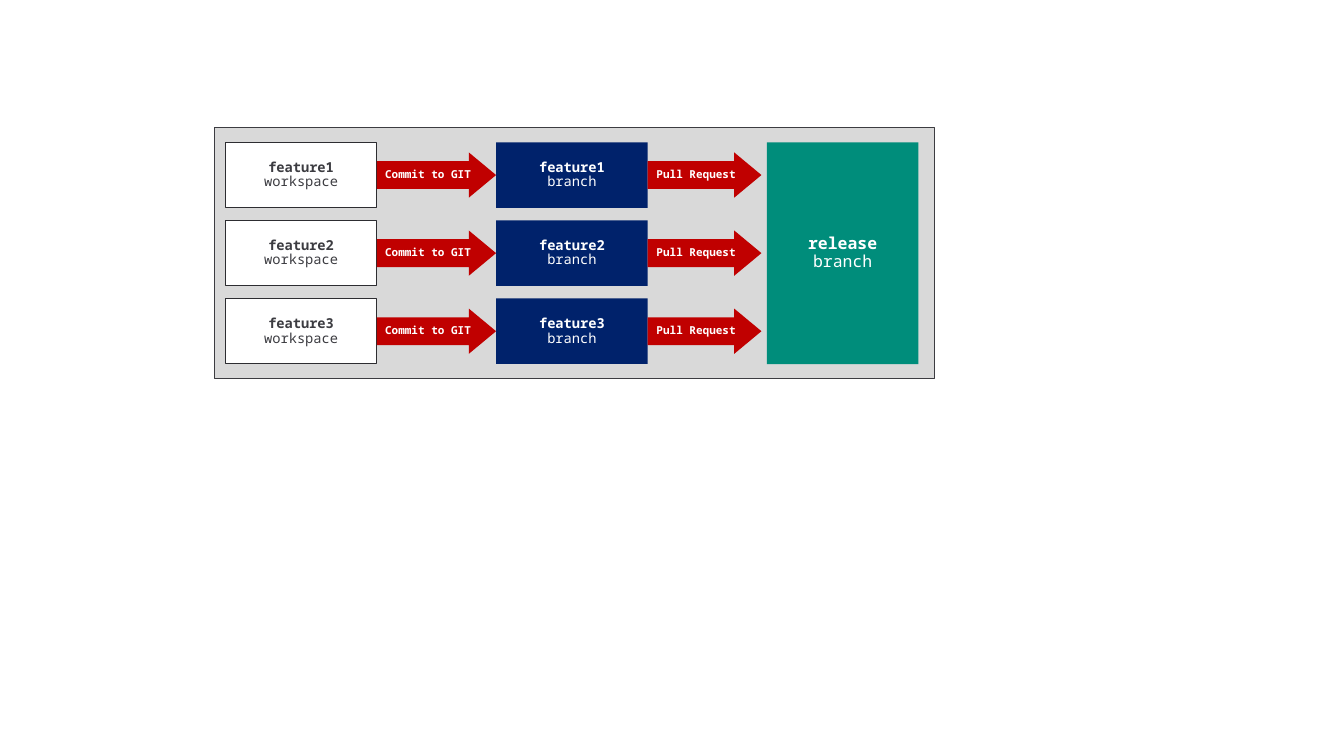
"""Build a slide showing feature workspaces flowing through branches into a release."""
from dataclasses import dataclass

from pptx import Presentation
from pptx.dml.color import RGBColor
from pptx.enum.shapes import MSO_SHAPE as Preset
from pptx.enum.text import MSO_ANCHOR as Anchor, PP_ALIGN as Align
from pptx.shapes.autoshape import Shape
from pptx.util import Inches, Pt

COLORS = {
    "white": "FFFFFF", "panel": "D9D9D9", "text": "3C3C41", "outline": "2D2D31",
    "branch": "00226B", "release": "008D7B", "arrow": "C00000",
}
FONT = "Noto Sans Mono"
SLIDE_WIDTH, SLIDE_HEIGHT = 13.6, 7.65
GRID_LEFT, GRID_TOP = 2.28, 1.44
COLUMN, ROW = 2.74, 0.79
BOX_COLUMNS, BOX_ROWS = 0.56, 0.84
ARROW_ROWS = 0.58
ARROW_ADJUSTMENTS = (0.614, 0.602)
FEATURES = ("feature1", "feature2", "feature3")
FRAME_FORMAT = {
    "margin_left": 0, "margin_right": 0, "margin_top": 0, "margin_bottom": 0,
    "vertical_anchor": Anchor.MIDDLE, "word_wrap": True,
}
PARAGRAPH_FORMAT = {"alignment": Align.CENTER, "line_spacing": 0.9}


@dataclass(frozen=True)
class Block:
    column: float
    row: float
    columns: float
    rows: float
    fill: str
    lines: tuple[str, ...] = ()
    size: int = 10
    color: str = "white"
    outline: str = ""
    preset: Preset = Preset.RECTANGLE


def set_format(target: object, values: dict) -> None:
    for name, value in values.items():
        setattr(target, name, value)


def rgb(name: str) -> RGBColor:
    return RGBColor.from_string(COLORS[name])


def write_lines(shape: Shape, block: Block) -> None:
    frame = shape.text_frame
    set_format(frame, FRAME_FORMAT)
    for index, line in enumerate(block.lines):
        paragraph = frame.add_paragraph() if index else frame.paragraphs[0]
        set_format(paragraph, PARAGRAPH_FORMAT)
        run = paragraph.add_run()
        run.text = line
        set_format(run.font, {"name": FONT, "size": Pt(block.size), "bold": index == 0})
        run.font.color.rgb = rgb(block.color)


def draw_block(shapes, block: Block) -> Shape:
    shape = shapes.add_shape(
        block.preset,
        Inches(GRID_LEFT + block.column * COLUMN), Inches(GRID_TOP + block.row * ROW),
        Inches(block.columns * COLUMN), Inches(block.rows * ROW),
    )
    shape.shadow.inherit = False
    shape.fill.solid()
    shape.fill.fore_color.rgb = rgb(block.fill)
    if block.outline:
        shape.line.color.rgb = rgb(block.outline)
        shape.line.width = Pt(0.75)
    else:
        shape.line.fill.background()
    if block.preset == Preset.RIGHT_ARROW:
        for index, value in enumerate(ARROW_ADJUSTMENTS):
            shape.adjustments[index] = value
    write_lines(shape, block)
    return shape


def arrow(column: int, row: int, columns: float, label: str) -> Block:
    top = row + (BOX_ROWS - ARROW_ROWS) / 2
    return Block(column + BOX_COLUMNS, top, columns, ARROW_ROWS, "arrow", (label,),
                 size=8, preset=Preset.RIGHT_ARROW)


def feature_blocks(row: int, feature: str) -> tuple[Block, ...]:
    return (
        Block(1, row, BOX_COLUMNS, BOX_ROWS, "branch", (feature, "branch")),
        Block(0, row, BOX_COLUMNS, BOX_ROWS, "white", (feature, "workspace"),
              color="text", outline="outline"),
        arrow(1, row, 0.42, "Pull Request"),
        arrow(0, row, 1 - BOX_COLUMNS, "Commit to GIT"),
    )


def main() -> None:
    presentation = Presentation()
    set_format(presentation, {"slide_width": Inches(SLIDE_WIDTH),
                              "slide_height": Inches(SLIDE_HEIGHT)})
    slide = presentation.slides.add_slide(presentation.slide_layouts[6])
    release_rows = len(FEATURES) - 1 + BOX_ROWS
    draw_block(slide.shapes, Block(-0.04, -0.19, 2.66, release_rows + 0.38, "panel",
                                   outline="text"))
    draw_block(slide.shapes, Block(2, 0, BOX_COLUMNS, release_rows, "release",
                                   ("release", "branch"), size=12))
    for row, feature in enumerate(FEATURES):
        group = slide.shapes.add_group_shape()
        for block in feature_blocks(row, feature):
            draw_block(group.shapes, block)
    presentation.save("out.pptx")


if __name__ == "__main__":
    main()
